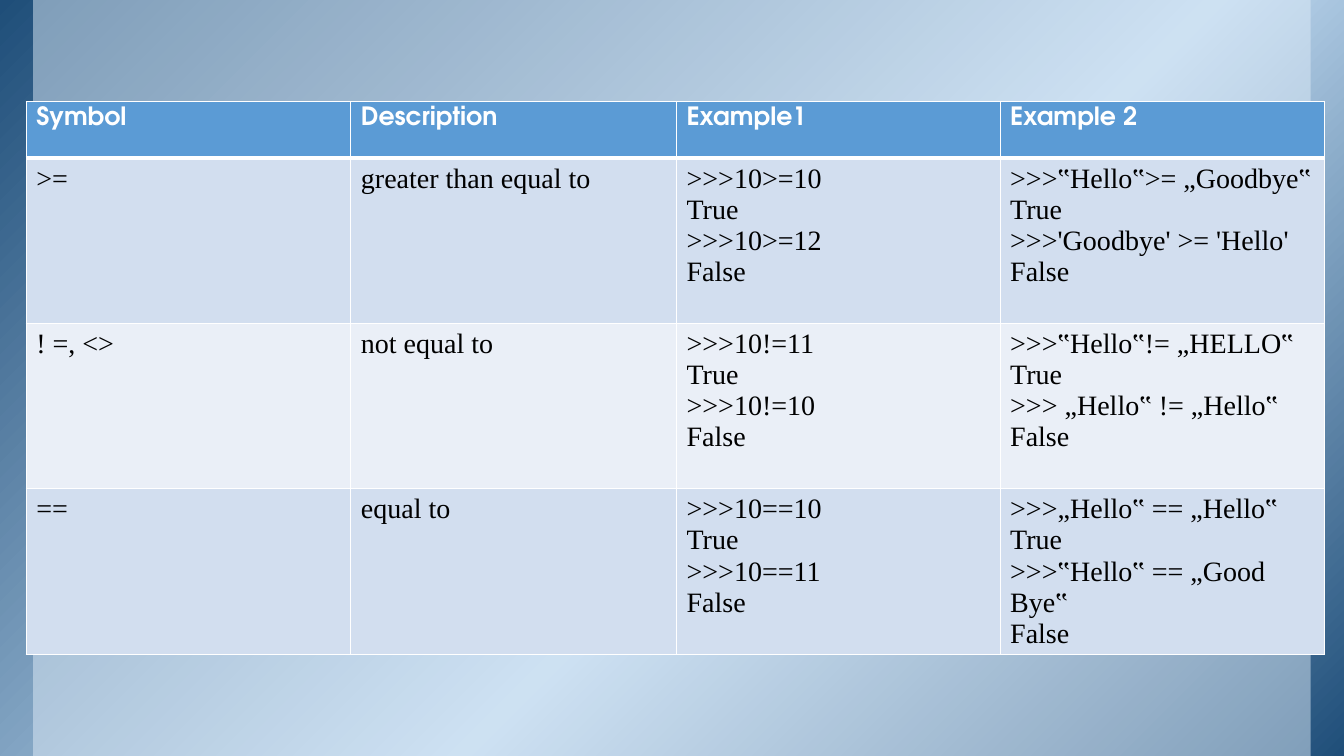
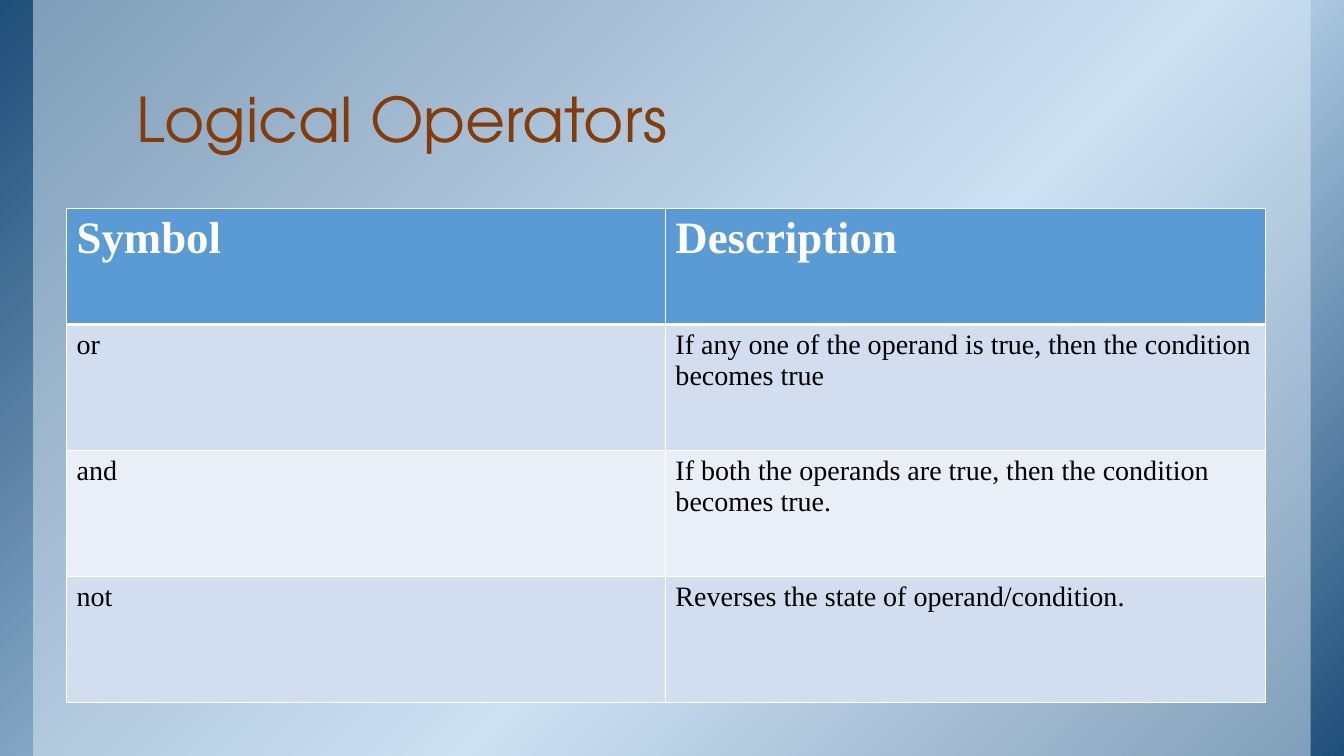
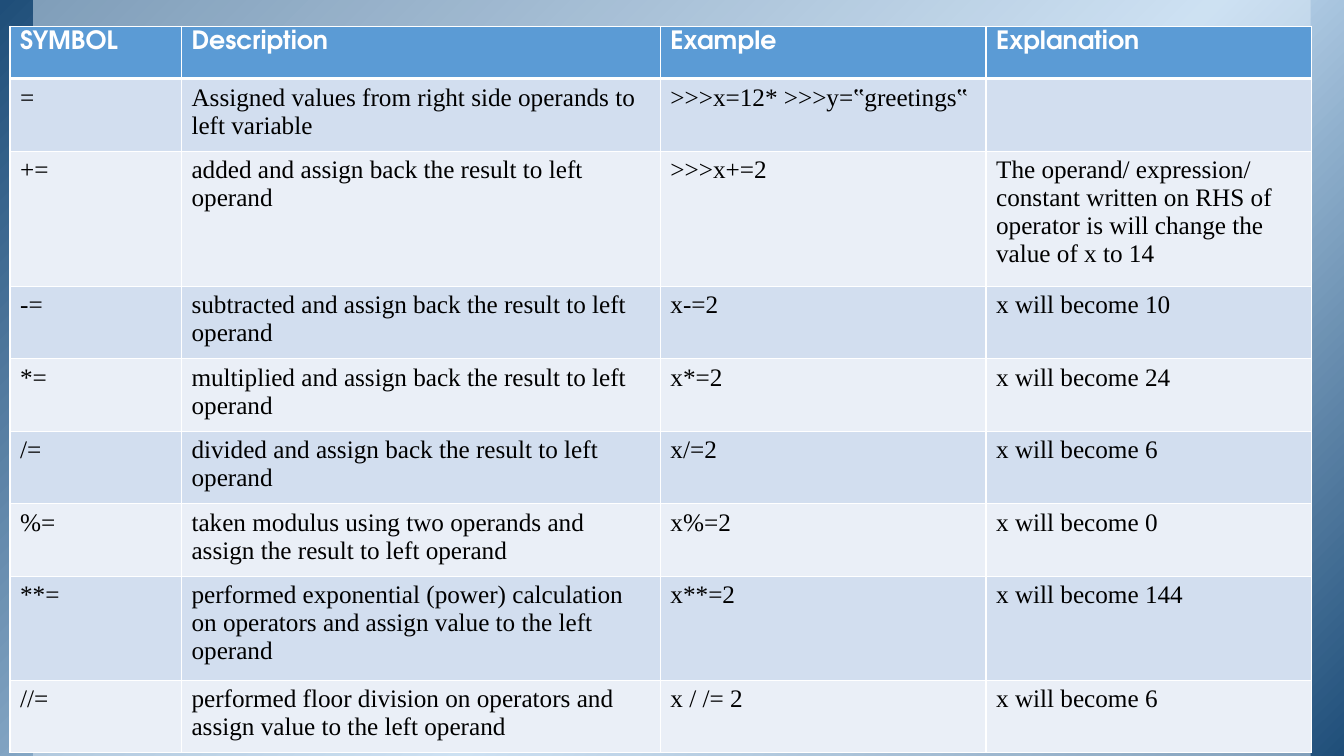
from copy import deepcopy
from dataclasses import dataclass

from lxml.etree import SubElement
from pptx import Presentation
from pptx.dml.color import RGBColor
from pptx.enum.shapes import MSO_SHAPE
from pptx.enum.text import MSO_ANCHOR, MSO_AUTO_SIZE, PP_ALIGN
from pptx.oxml.ns import qn
from pptx.util import Inches, Pt


@dataclass(frozen=True)
class Theme:
    display_font: str = "TeX Gyre Adventor"
    body_font: str = "Times New Roman"
    title_size: int = 44
    gradient: tuple = ((0, "1F4E79"), (0.58, "BDD7EE"), (1, "1F4E79"))
    veil: str = "DEEBF7"
    veil_opacity: int = 50
    title: str = "843C0B"
    header: str = "5B9BD5"
    header_text: str = "FFFFFF"
    bands: tuple = ("D2DEEF", "EAEFF7")
    body_text: str = "000000"
    border: str = "FFFFFF"
    border_width: int = 1
    header_rule: int = 3


theme = Theme()


def style_run(run, font, size, color, bold=False):
    run.font.name = font
    run.font.size = Pt(size)
    run.font.bold = bold
    run.font.color.rgb = RGBColor.from_string(color)


def add_operator_table(slide, left, top, widths, heights, rows,
                       header_font, header_size, body_size):
    """Add a table with a header row, banded body rows and white borders."""
    table = slide.shapes.add_table(
        len(rows), len(widths), Inches(left), Inches(top),
        Inches(sum(widths)), Inches(sum(heights))).table
    for column, width in zip(table.columns, widths):
        column.width = Inches(width)
    for row, height in zip(table.rows, heights):
        row.height = Inches(height)

    for row_index, texts in enumerate(rows):
        is_header = row_index == 0
        fill = theme.header if is_header else theme.bands[(row_index - 1) % 2]
        for column_index, text in enumerate(texts):
            cell = table.cell(row_index, column_index)
            cell.text = text
            for paragraph in cell.text_frame.paragraphs:
                for run in paragraph.runs:
                    if is_header:
                        style_run(run, header_font, header_size, theme.header_text, True)
                    else:
                        style_run(run, theme.body_font, body_size, theme.body_text)

            properties = cell._tc.get_or_add_tcPr()
            for edge in ("lnL", "lnR", "lnT", "lnB"):
                under_header = (row_index, edge) in ((0, "lnB"), (1, "lnT"))
                width = theme.header_rule if under_header else theme.border_width
                line = SubElement(properties, qn(f"a:{edge}"), w=str(Pt(width)))
                line_fill = SubElement(line, qn("a:solidFill"))
                SubElement(line_fill, qn("a:srgbClr"), val=theme.border)
            cell.fill.solid()
            cell.fill.fore_color.rgb = RGBColor.from_string(fill)


presentation = Presentation()
presentation.slide_width = Inches(13.33)
presentation.slide_height = Inches(7.5)
title_only, blank = presentation.slide_layouts[5], presentation.slide_layouts[6]

comparison_slide = presentation.slides.add_slide(blank)
logical_slide = presentation.slides.add_slide(title_only)
assignment_slide = presentation.slides.add_slide(blank)

# Shared backdrop: drawn once, then moved to the slide master
backdrop = comparison_slide.shapes.add_shape(
    MSO_SHAPE.RECTANGLE, 0, 0, presentation.slide_width, presentation.slide_height)
backdrop.fill.gradient()
backdrop.fill.gradient_angle = 315
stop_list = backdrop.element.find(".//" + qn("a:gsLst"))
stop_list.append(deepcopy(stop_list[-1]))
for stop, (position, color) in zip(backdrop.fill.gradient_stops, theme.gradient):
    stop.position = position
    stop.color.rgb = RGBColor.from_string(color)

veil = comparison_slide.shapes.add_shape(
    MSO_SHAPE.RECTANGLE, Inches(0.33), 0, Inches(12.67), presentation.slide_height)
veil.fill.solid()
veil.fill.fore_color.rgb = RGBColor.from_string(theme.veil)
veil_color = veil.element.spPr.find(".//" + qn("a:srgbClr"))
SubElement(veil_color, qn("a:alpha"), val=str(theme.veil_opacity * 1000))

master_tree = presentation.slide_master.shapes.element
for index, shape in enumerate((backdrop, veil)):
    shape.line.fill.background()
    shape.shadow.inherit = False
    master_tree.insert(2 + index, shape.element)

# Comparison operators
add_operator_table(
    comparison_slide, 0.26, 1.01, [3.22, 3.23, 3.21, 3.22], [0.56] + [1.64] * 3,
    [
        ("Symbol", "Description", "Example1", "Example 2"),
        (">=", "greater than equal to",
         ">>>10>=10\nTrue\n>>>10>=12\nFalse",
         ">>>‟Hello‟>= „Goodbye‟\nTrue\n>>>'Goodbye' >= 'Hello'\nFalse"),
        ("! =, <>", "not equal to",
         ">>>10!=11\nTrue\n>>>10!=10\nFalse",
         ">>>‟Hello‟!= „HELLO‟\nTrue\n>>> „Hello‟ != „Hello‟\nFalse"),
        ("==", "equal to",
         ">>>10==10\nTrue\n>>>10==11\nFalse",
         ">>>„Hello‟ == „Hello‟\nTrue\n>>>‟Hello‟ == „Good Bye‟\nFalse"),
    ],
    theme.display_font, header_size=18, body_size=20)

# Logical operators
title = logical_slide.shapes.title
title.left, title.top = Inches(1.22), Inches(0.08)
title.width, title.height = Inches(11.11), Inches(1.53)
title_frame = title.text_frame
title_frame.text = "Logical Operators"
title_frame.auto_size = MSO_AUTO_SIZE.NONE
title_frame.vertical_anchor = MSO_ANCHOR.BOTTOM
title_frame.margin_left = title_frame.margin_right = Inches(0.13)
title_frame.margin_top = title_frame.margin_bottom = Inches(0.07)
title_paragraph = title_frame.paragraphs[0]
title_paragraph.alignment = PP_ALIGN.LEFT
title_paragraph.line_spacing = 0.85
style_run(title_paragraph.runs[0], theme.display_font, theme.title_size, theme.title)

add_operator_table(
    logical_slide, 0.66, 2.07, [5.94, 5.95], [1.15] + [1.25] * 3,
    [
        ("Symbol", "Description"),
        ("or", "If any one of the operand is true, then the condition becomes true"),
        ("and", "If both the operands are true, then the condition becomes true."),
        ("not", "Reverses the state of operand/condition."),
    ],
    theme.body_font, header_size=32, body_size=20)

# Assignment operators
add_operator_table(
    assignment_slide, 0.1, 0.26, [1.7, 4.75, 3.23, 3.23],
    [0.52, 0.72, 1.34] + [0.72] * 4 + [1.03, 0.72],
    [
        ("SYMBOL", "Description", "Example", "Explanation"),
        ("=", "Assigned values from right side operands to left variable",
         ">>>x=12* >>>y=‟greetings‟", ""),
        ("+=", "added and assign back the result to left operand", ">>>x+=2",
         "The operand/ expression/ constant written on RHS of operator is "
         "will change the value of x to 14"),
        ("-=", "subtracted and assign back the result to left operand",
         "x-=2", "x will become 10"),
        ("*=", "multiplied and assign back the result to left operand",
         "x*=2", "x will become 24"),
        ("/=", "divided and assign back the result to left operand",
         "x/=2", "x will become 6"),
        ("%=", "taken modulus using two operands and assign the result to left operand",
         "x%=2", "x will become 0"),
        ("**=", "performed exponential (power) calculation on operators and "
         "assign value to the left operand", "x**=2", "x will become 144"),
        ("//=", "performed floor division on operators and assign value to the left operand",
         "x / /= 2", "x will become 6"),
    ],
    theme.display_font, header_size=18, body_size=18)

presentation.save("out.pptx")
